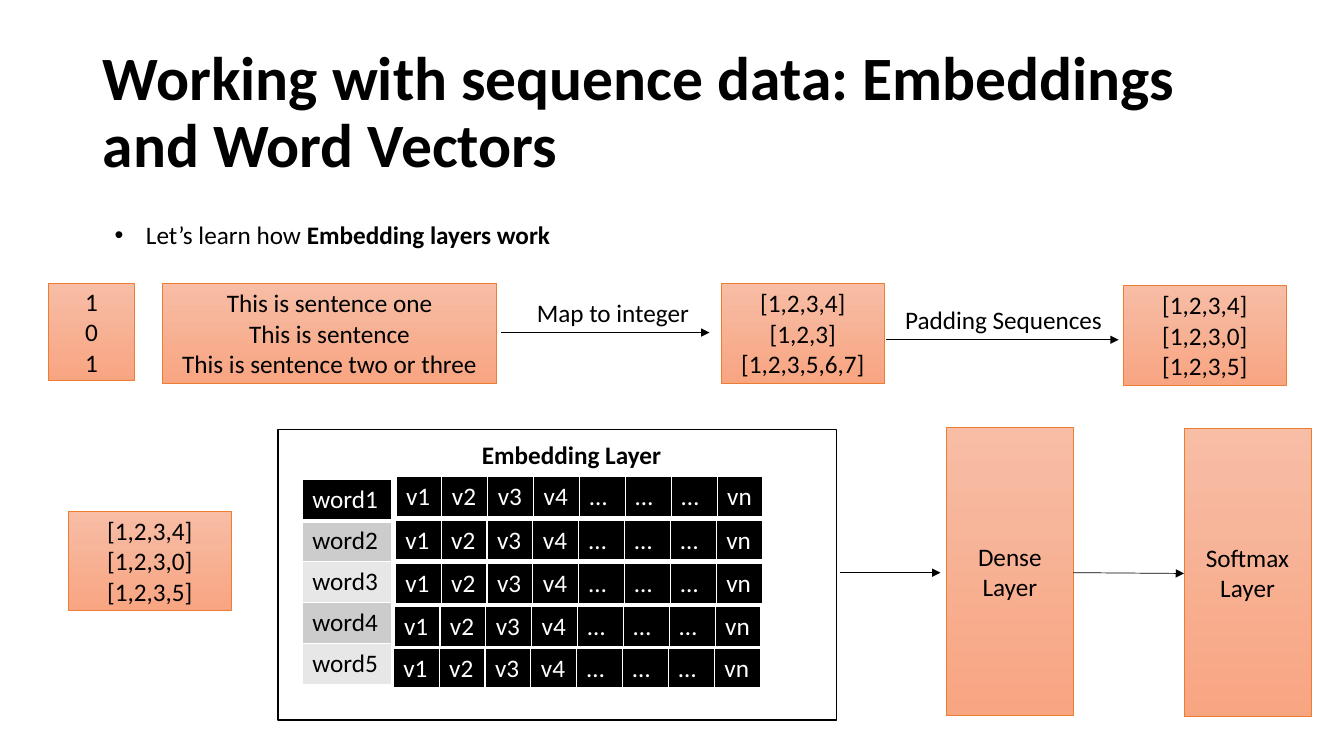
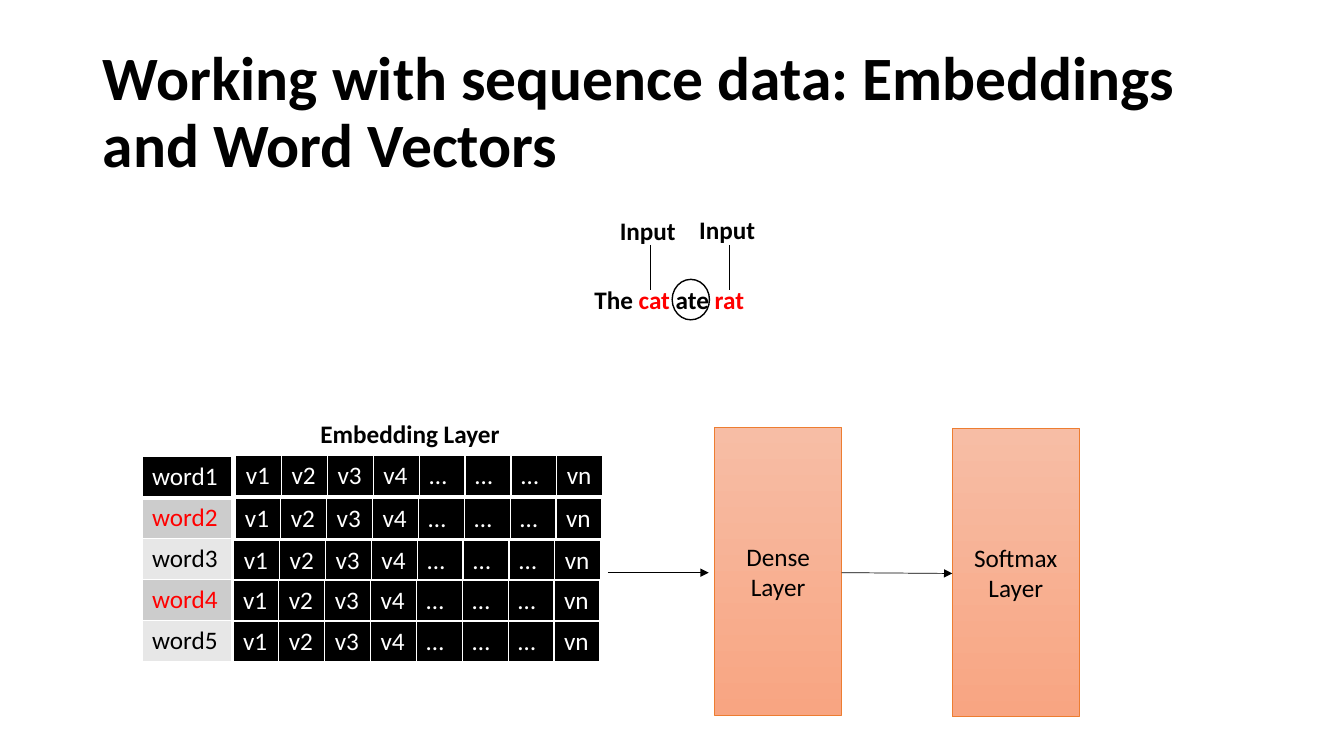
from lxml.etree import SubElement
from pptx import Presentation
from pptx.dml.color import RGBColor
from pptx.enum.shapes import MSO_CONNECTOR, MSO_SHAPE
from pptx.enum.text import MSO_ANCHOR, MSO_AUTO_SIZE, PP_ALIGN
from pptx.oxml.ns import qn
from pptx.util import Cm, Pt

BLACK = RGBColor(0x00, 0x00, 0x00)
WHITE = RGBColor(0xFF, 0xFF, 0xFF)
RED = RGBColor(0xFF, 0x00, 0x00)
ORANGE = RGBColor(0xED, 0x7D, 0x31)
PEACH_TOP = RGBColor(0xF7, 0xBD, 0xA5)
PEACH_BOTTOM = RGBColor(0xF8, 0xA5, 0x82)
DARK_BAND = RGBColor(0xCC, 0xCC, 0xCC)
LIGHT_BAND = RGBColor(0xE7, 0xE7, 0xE7)

TITLE = "Working with sequence data: Embeddings and Word Vectors"
PADDED = "[1,2,3,4]\n[1,2,3,0]\n[1,2,3,5]"
WORDS = [f"word{number}" for number in range(1, 6)]
VECTOR = ["v1", "v2", "v3", "v4", "…", "…", "…", "vn"]
ROW_HEIGHT = 1.03
LABEL_HEIGHT = 1.02


def write_text(frame, text, *, size=18, color=BLACK, bold=False, align=PP_ALIGN.LEFT):
    """Write a string, one paragraph a line, or one paragraph of (text, format) runs."""
    lines = [[(line, {})] for line in text.split("\n")] if isinstance(text, str) else [text]
    for index, runs in enumerate(lines):
        paragraph = frame.add_paragraph() if index else frame.paragraphs[0]
        paragraph.alignment = align
        for words, own_format in runs:
            run = paragraph.add_run()
            run.text = words
            run.font.name = "Calibri"
            run.font.size = Pt(size)
            run.font.bold = own_format.get("bold", bold)
            run.font.color.rgb = own_format.get("color", color)


def set_borders(cell, bottom):
    """Give a cell white borders of one point and a bottom border of its own width."""
    properties = cell._tc.get_or_add_tcPr()
    for side, width in (("lnL", 1), ("lnR", 1), ("lnT", 1), ("lnB", bottom)):
        line = SubElement(properties, qn(f"a:{side}"), w=str(Pt(width)))
        fill = SubElement(line, qn("a:solidFill"))
        SubElement(fill, qn("a:srgbClr"), val=str(WHITE))


class Deck:
    """Holds the style and the current slide; all lengths are in centimetres."""

    def __init__(self):
        self.presentation = Presentation()
        self.presentation.slide_width = Cm(33.87)
        self.presentation.slide_height = Cm(19.05)
        self.slide = None

    def new_slide(self, title):
        self.slide = self.presentation.slides.add_slide(self.presentation.slide_layouts[5])
        shape = self.slide.shapes.title
        shape.left, shape.top, shape.width, shape.height = Cm(2.34), Cm(1.02), Cm(29.21), Cm(3.71)
        frame = shape.text_frame
        frame.word_wrap = True
        frame.auto_size = MSO_AUTO_SIZE.NONE
        frame.vertical_anchor = MSO_ANCHOR.MIDDLE
        write_text(frame, title, size=44, bold=True)
        frame.paragraphs[0].line_spacing = 0.9

    def label(self, text, left, top, width, **text_format):
        box = self.slide.shapes.add_textbox(Cm(left), Cm(top), Cm(width), Cm(LABEL_HEIGHT))
        box.text_frame.word_wrap = True
        box.text_frame.auto_size = MSO_AUTO_SIZE.SHAPE_TO_FIT_TEXT
        write_text(box.text_frame, text, **text_format)
        return box

    def bullet(self, text, left, top, width):
        paragraph = self.label(text, left, top, width).text_frame.paragraphs[0]
        properties = paragraph._p.get_or_add_pPr()
        properties.set("marL", str(Cm(0.79)))
        properties.set("indent", str(-Cm(0.79)))
        SubElement(properties, qn("a:buFont"), typeface="Arial")
        SubElement(properties, qn("a:buChar"), char="•")

    def outline(self, preset, left, top, width, height):
        shape = self.slide.shapes.add_shape(preset, Cm(left), Cm(top), Cm(width), Cm(height))
        shape.shadow.inherit = False
        shape.fill.background()
        shape.line.color.rgb = BLACK
        shape.line.width = Pt(1)
        return shape

    def block(self, text, left, top, width=4.09, height=2.51):
        shape = self.outline(MSO_SHAPE.RECTANGLE, left, top, width, height)
        shape.fill.gradient()
        shape.fill.gradient_angle = 270
        for stop, color in zip(shape.fill.gradient_stops, (PEACH_TOP, PEACH_BOTTOM)):
            stop.color.rgb = color
        shape.line.color.rgb = ORANGE
        shape.line.width = Pt(0.5)
        shape.text_frame.word_wrap = True
        shape.text_frame.vertical_anchor = MSO_ANCHOR.MIDDLE
        write_text(shape.text_frame, text, align=PP_ALIGN.CENTER)

    def line(self, start_x, start_y, end_x, end_y, arrow=True):
        connector = self.slide.shapes.add_connector(
            MSO_CONNECTOR.STRAIGHT, Cm(start_x), Cm(start_y), Cm(end_x), Cm(end_y))
        connector.line.color.rgb = BLACK
        connector.line.width = Pt(0.5)
        if arrow:
            SubElement(connector.line._get_or_add_ln(), qn("a:tailEnd"), type="triangle")
        SubElement(connector._element.spPr, qn("a:effectLst"))

    def table(self, rows, left, top, width):
        """Draw rows of cells, each given as (text, text colour, fill, bottom border)."""
        table = self.slide.shapes.add_table(
            len(rows), len(rows[0]), Cm(left), Cm(top), Cm(width), Cm(ROW_HEIGHT * len(rows))).table
        for row_index, row in enumerate(rows):
            for column_index, (text, color, fill, bottom) in enumerate(row):
                cell = table.cell(row_index, column_index)
                set_borders(cell, bottom)
                cell.fill.solid()
                cell.fill.fore_color.rgb = fill
                write_text(cell.text_frame, text, color=color)

    def embedding(self, words_corner, vector_corners, heading_corner, highlighted=()):
        """Draw the word column, its vector rows and the heading."""
        rows = [[(WORDS[0], WHITE, BLACK, 3)]]
        for index, word in enumerate(WORDS[1:]):
            color = RED if word in highlighted else BLACK
            rows.append([(word, color, LIGHT_BAND if index % 2 else DARK_BAND, 1)])
        self.table(rows, *words_corner, 2.26)
        for corner in vector_corners:
            self.table([[(value, WHITE, BLACK, 3) for value in VECTOR]], *corner, 9.25)
        self.label("Embedding Layer", *heading_corner, 7.67, bold=True, align=PP_ALIGN.CENTER)

    def output_layers(self, left):
        """Draw the dense and softmax layers with the arrows that lead to them."""
        width, step, middle = 3.2, 5.99, 14.43
        self.line(left - 2.69, middle, left - 0.15, middle)
        self.block("Dense\nLayer", left, 10.77, width, 7.26)
        self.block("Softmax\nLayer", left + step, 10.8, width, 7.26)
        self.line(left + width, middle, left + step, middle + 0.02)


def add_pipeline_slide(deck):
    deck.new_slide(TITLE)
    deck.bullet([("Let’s learn how ", {}), ("Embedding layers work", {"bold": True})],
                2.64, 5.41, 27.43)
    deck.block("1\n0\n1", 1.22, 7.14, 2.18, 2.44)
    deck.block("This is sentence one\nThis is sentence\nThis is sentence two or three",
               4.09, 7.14, 8.43)
    deck.line(12.62, 8.38, 17.88, 8.38)
    deck.label("Map to integer", 13.28, 7.37, 4.98)
    deck.block("[1,2,3,4]\n[1,2,3]\n[1,2,3,5,6,7]", 18.19, 7.14)
    deck.line(22.33, 8.56, 28.19, 8.56)
    deck.label("Padding Sequences", 22.56, 7.54, 5.59)
    deck.block(PADDED, 28.32, 7.19)
    deck.block(PADDED, 1.73, 12.88)
    deck.outline(MSO_SHAPE.RECTANGLE, 7.01, 10.82, 14.07, 7.32)
    deck.embedding(
        words_corner=(7.62, 12.09),
        vector_corners=[(9.98, 12.01), (9.96, 13.11), (9.96, 14.2), (9.93, 15.29), (9.91, 16.33)],
        heading_corner=(10.57, 10.95))
    deck.output_layers(23.85)


def add_example_slide(deck):
    deck.new_slide(TITLE)
    deck.label([("The ", {}), ("cat", {"color": RED}), (" ate ", {}), ("rat", {"color": RED})],
               10.77, 7.04, 12.19, bold=True, align=PP_ALIGN.CENTER)
    for line_x, label_left, label_top in ((16.38, 15.37, 5.31), (18.39, 17.37, 5.28)):
        deck.line(line_x, 6.17, line_x, 7.32, arrow=False)
        deck.label("Input", label_left, label_top, 2.03, bold=True)
    deck.outline(MSO_SHAPE.OVAL, 16.94, 7.04, 0.94, 1.02)
    deck.embedding(
        words_corner=(3.58, 11.51),
        vector_corners=[(5.94, 11.48), (5.92, 12.57), (5.89, 13.61), (5.87, 14.63), (5.87, 15.67)],
        heading_corner=(6.5, 10.41),
        highlighted=("word2", "word4"))
    deck.output_layers(18.01)


def main():
    deck = Deck()
    add_pipeline_slide(deck)
    add_example_slide(deck)
    deck.presentation.save("out.pptx")


if __name__ == "__main__":
    main()
